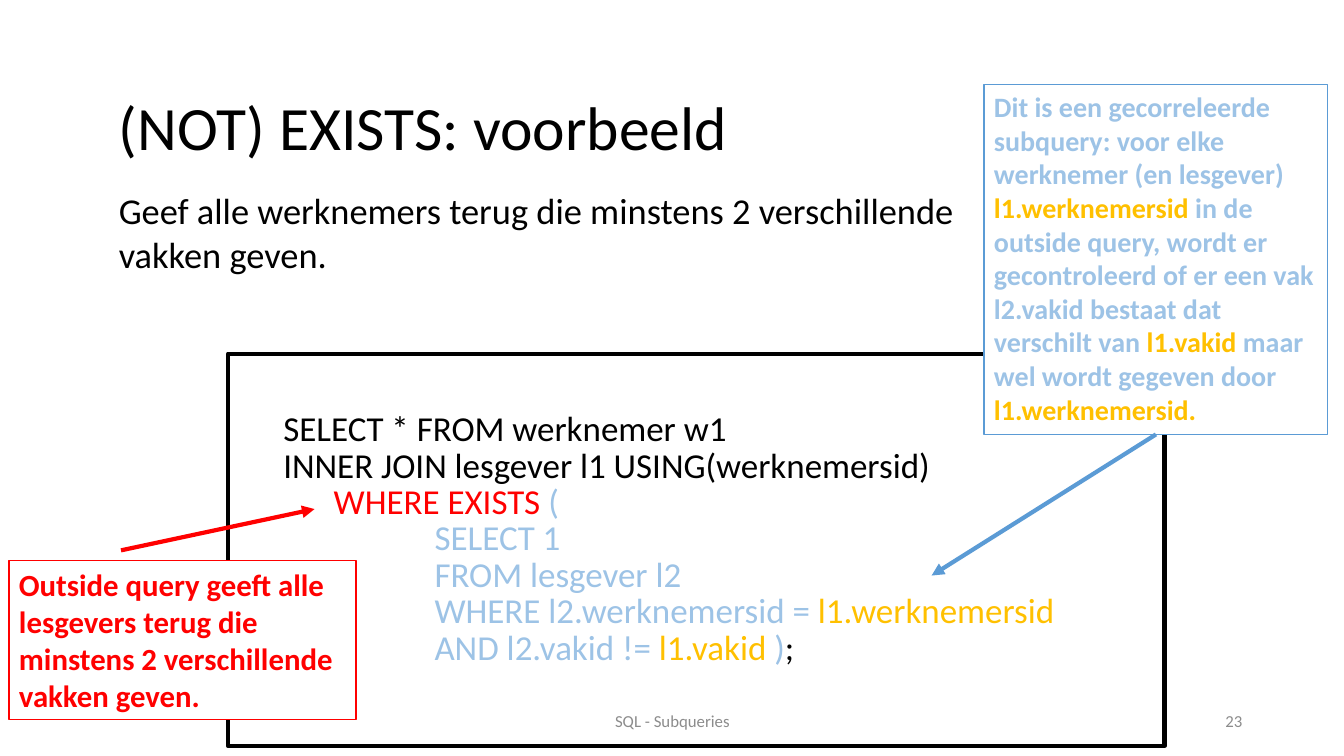
from lxml.etree import SubElement
from pptx import Presentation
from pptx.dml.color import RGBColor
from pptx.enum.shapes import MSO_CONNECTOR, MSO_SHAPE
from pptx.enum.text import MSO_ANCHOR, MSO_AUTO_SIZE, PP_ALIGN
from pptx.oxml.ns import qn
from pptx.util import Inches, Pt

BLACK, WHITE, GREY, RED = "000000", "FFFFFF", "8C8C8C", "FF0000"
BLUE, PALE_BLUE, AMBER = "5B9BD5", "9DC3E6", "FFC000"


def color(value):
    """Turn a hex string into a colour."""
    return RGBColor.from_string(value)


class SlideBuilder:
    """Holds the style and the page, and adds each kind of element."""

    font = "Calibri"

    def __init__(self, page):
        self.page = page

    def place(self, shape, area):
        """Move a shape to left, top, width and height in inches."""
        shape.left, shape.top, shape.width, shape.height = map(Inches, area)

    def add_spans(self, para, spans, size, bold=False):
        """Fill a paragraph with (text, colour) spans."""
        for text, shade in spans:
            span = para.add_run()
            span.text = text
            span.font.name = self.font
            span.font.size = Pt(size)
            span.font.bold = bold
            span.font.color.rgb = color(shade)

    def prepare(self, shape, anchor=MSO_ANCHOR.TOP):
        """Set wrapping and anchoring, and return the text frame."""
        frame = shape.text_frame
        frame.word_wrap = True
        frame.auto_size = MSO_AUTO_SIZE.NONE
        frame.vertical_anchor = anchor
        return frame

    def title(self, text, area, size):
        """Fill the title placeholder."""
        shape = self.page.shapes.title
        self.place(shape, area)
        para = self.prepare(shape, MSO_ANCHOR.MIDDLE).paragraphs[0]
        para.alignment = PP_ALIGN.LEFT
        para.line_spacing = 0.9
        self.add_spans(para, [(text, BLACK)], size)

    def code(self, lines, area, size):
        """Fill the body placeholder with (level, indent, spans) code lines."""
        shape = self.page.placeholders[1]
        self.place(shape, area)
        frame = self.prepare(shape)
        for number, (level, indent, spans) in enumerate(lines):
            para = frame.add_paragraph() if number else frame.paragraphs[0]
            properties = para._p.get_or_add_pPr()
            properties.set("marL", str(Inches(indent)))
            properties.set("indent", "0")
            SubElement(properties, qn("a:buNone"))
            para.level = level
            para.line_spacing = 0.7
            para.space_before = Pt(5 if number else 0)
            self.add_spans(para, spans, size)

    def text(self, text, area, size, shade=BLACK, align=PP_ALIGN.LEFT, anchor=MSO_ANCHOR.TOP):
        """Add a plain text box."""
        box = self.page.shapes.add_textbox(*map(Inches, area))
        para = self.prepare(box, anchor).paragraphs[0]
        para.alignment = align
        self.add_spans(para, [(text, shade)], size)

    def box(self, area, line, width):
        """Add a white outlined rectangle."""
        box = self.page.shapes.add_shape(MSO_SHAPE.RECTANGLE, *map(Inches, area))
        box.shadow.inherit = False
        box.fill.solid()
        box.fill.fore_color.rgb = color(WHITE)
        box.line.color.rgb = color(line)
        box.line.width = Pt(width)
        return box

    def backdrop(self, area, line, width):
        """Add a rectangle behind everything else."""
        box = self.box(area, line, width)
        self.page.shapes._spTree.insert(2, box._element)

    def note(self, spans, area, line, size):
        """Add an outlined box with bold text."""
        box = self.box(area, line, 1)
        para = self.prepare(box).paragraphs[0]
        para.alignment = PP_ALIGN.LEFT
        self.add_spans(para, spans, size, bold=True)
        return box

    def arrow(self, start, end, shade, source=None):
        """Add an arrow, joined to the bottom of the source if there is one."""
        arrow = self.page.shapes.add_connector(
            MSO_CONNECTOR.STRAIGHT, *map(Inches, (*start, *end)))
        if source is not None:
            arrow.begin_connect(source, 2)
        arrow.line.color.rgb = color(shade)
        arrow.line.width = Pt(3)
        SubElement(arrow.line._get_or_add_ln(), qn("a:tailEnd"), type="triangle")
        SubElement(arrow._element.spPr, qn("a:effectLst"))


def main():
    """Build and save the deck."""
    deck = Presentation()
    deck.slide_width, deck.slide_height = Inches(13.33), Inches(7.5)
    slide = SlideBuilder(deck.slides.add_slide(deck.slide_layouts[1]))

    slide.backdrop((2.26, 3.51, 9.29, 3.89), BLACK, 3)
    slide.title("(NOT) EXISTS: voorbeeld", (1.08, 0.57, 11.5, 1.45), 44)
    slide.text("Geef alle werknemers terug die minstens 2 verschillende vakken geven.",
               (1.08, 1.82, 8.54, 0.98), 26)
    slide.code([
        (3, 1.9, [("SELECT * FROM werknemer w1", BLACK)]),
        (3, 1.9, [("INNER JOIN lesgever l1 USING(werknemersid)", BLACK)]),
        (4, 2.4, [("WHERE EXISTS ", RED), ("(", PALE_BLUE)]),
        (4, 3.4, [("SELECT 1", PALE_BLUE)]),
        (4, 3.4, [("FROM lesgever l2", PALE_BLUE)]),
        (4, 3.4, [("WHERE l2.werknemersid = ", PALE_BLUE), ("l1.werknemersid", AMBER)]),
        (4, 3.4, [("AND l2.vakid != ", PALE_BLUE), ("l1.vakid ", AMBER),
                  (")", PALE_BLUE), (";", BLACK)]),
    ], (0.81, 4.1, 11.79, 2.86), 25)

    slide.note([("Outside query geeft alle lesgevers terug die minstens 2 "
                 "verschillende vakken geven.", RED)], (0.09, 5.56, 3.44, 1.58), RED, 22)
    slide.arrow((1.2, 5.46), (3.12, 5.05), RED)
    subquery_note = slide.note([
        ("Dit is een gecorreleerde subquery: voor elke werknemer (en lesgever) ", PALE_BLUE),
        ("l1.werknemersid ", AMBER),
        ("in de outside query, wordt er gecontroleerd of er een vak l2.vakid "
         "bestaat dat verschilt van ", PALE_BLUE),
        ("l1.vakid ", AMBER),
        ("maar wel wordt gegeven door ", PALE_BLUE),
        ("l1.werknemersid.", AMBER),
    ], (9.76, 0.84, 3.41, 3.47), BLUE, 20)
    slide.arrow((11.46, 4.31), (9.24, 5.71), BLUE, subquery_note)

    slide.text("SQL - Subqueries", (4.42, 6.95, 4.5, 0.4), 12, GREY,
               PP_ALIGN.CENTER, MSO_ANCHOR.MIDDLE)
    slide.text("23", (9.42, 6.95, 3, 0.4), 12, GREY, PP_ALIGN.RIGHT, MSO_ANCHOR.MIDDLE)
    deck.save("out.pptx")


if __name__ == "__main__":
    main()
